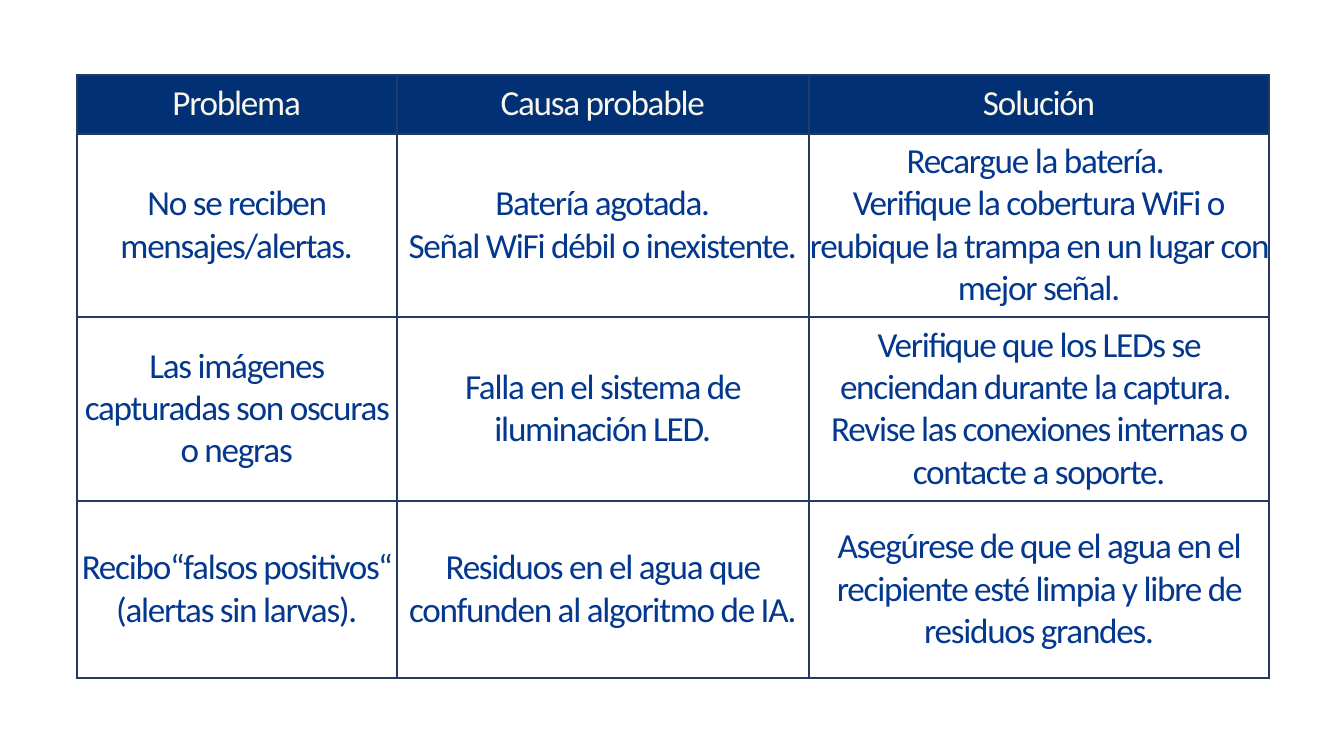
from pptx import Presentation
from pptx.dml.color import RGBColor
from pptx.enum.text import MSO_ANCHOR, PP_ALIGN
from pptx.oxml.ns import qn
from pptx.util import Pt
from lxml import etree

MIDDLE = MSO_ANCHOR.MIDDLE
CENTER = PP_ALIGN.CENTER

NAVY = RGBColor(0x01, 0x31, 0x74)
CREAM = RGBColor(0xF8, 0xF5, 0xEA)
TEXT_BLUE = RGBColor(0x03, 0x38, 0x8E)
BORDER_BLUE = RGBColor(0x23, 0x3B, 0x64)

FONT = "Calibri"
TEXT_SIZE = Pt(36)
LINE_SPACING = Pt(43.2)
LETTER_SPACING = -130  # hundredths of a point
BORDER_WIDTH = Pt(2.25)

SLIDE_WIDTH, SLIDE_HEIGHT = Pt(1376), Pt(768)
TABLE_LEFT, TABLE_TOP = Pt(78.5), Pt(77)
COLUMN_WIDTHS = [Pt(327.6), Pt(421.9), Pt(471.6)]
ROW_HEIGHTS = [Pt(59.8), Pt(187.9), Pt(188.6), Pt(180.7)]

# One list of paragraphs for each cell; the first row is the header.
TROUBLESHOOTING = [
    [["Problema"], ["Causa probable"], ["Solución"]],
    [
        ["No se reciben mensajes/alertas."],
        ["Batería agotada.", "Señal WiFi débil o inexistente."],
        [
            "Recargue la batería. ",
            "Verifique la cobertura WiFi o",
            "reubique la trampa en un Iugar con mejor señal.",
        ],
    ],
    [
        ["Las imágenes capturadas son oscuras o negras"],
        ["Falla en el sistema de iluminación LED."],
        [
            "Verifique que los LEDs se enciendan durante la captura. ",
            "Revise las conexiones internas o contacte a soporte.",
        ],
    ],
    [
        ["Recibo“falsos positivos“ (alertas sin larvas)."],
        ["Residuos en el agua que confunden al algoritmo de IA."],
        ["Asegúrese de que el agua en el recipiente esté limpia y libre de residuos grandes."],
    ],
]


def add_borders(cell):
    properties = cell._tc.get_or_add_tcPr()
    for side in ("a:lnL", "a:lnR", "a:lnT", "a:lnB"):
        line = etree.SubElement(properties, qn(side), w=str(BORDER_WIDTH))
        fill = etree.SubElement(line, qn("a:solidFill"))
        etree.SubElement(fill, qn("a:srgbClr"), val=str(BORDER_BLUE))


def write_paragraphs(frame, lines, color):
    for index, text in enumerate(lines):
        para = frame.paragraphs[0] if index == 0 else frame.add_paragraph()
        para.alignment = CENTER
        para.line_spacing = LINE_SPACING
        span = para.add_run()
        span.text = text
        span.font.name = FONT
        span.font.size = TEXT_SIZE
        span.font.bold = False
        span.font.color.rgb = color
        span._r.get_or_add_rPr().set("spc", str(LETTER_SPACING))


def format_cell(cell, lines, is_header):
    cell.margin_left = cell.margin_right = cell.margin_top = cell.margin_bottom = 0
    cell.vertical_anchor = MIDDLE
    add_borders(cell)
    if is_header:
        cell.fill.solid()
        cell.fill.fore_color.rgb = NAVY
    else:
        cell.fill.background()
    write_paragraphs(cell.text_frame, lines, CREAM if is_header else TEXT_BLUE)


def add_troubleshooting_table(page):
    table = page.shapes.add_table(
        len(ROW_HEIGHTS), len(COLUMN_WIDTHS), TABLE_LEFT, TABLE_TOP,
        sum(COLUMN_WIDTHS), sum(ROW_HEIGHTS),
    ).table
    table.horz_banding = False
    for column, width in zip(table.columns, COLUMN_WIDTHS):
        column.width = width
    for row_index, (row, height) in enumerate(zip(table.rows, ROW_HEIGHTS)):
        row.height = height
        for cell, lines in zip(row.cells, TROUBLESHOOTING[row_index]):
            format_cell(cell, lines, is_header=row_index == 0)


def main():
    deck = Presentation()
    deck.slide_width, deck.slide_height = SLIDE_WIDTH, SLIDE_HEIGHT
    blank_layout = deck.slide_layouts[6]
    page = deck.slides.add_slide(blank_layout)
    add_troubleshooting_table(page)
    deck.save("out.pptx")


if __name__ == "__main__":
    main()
